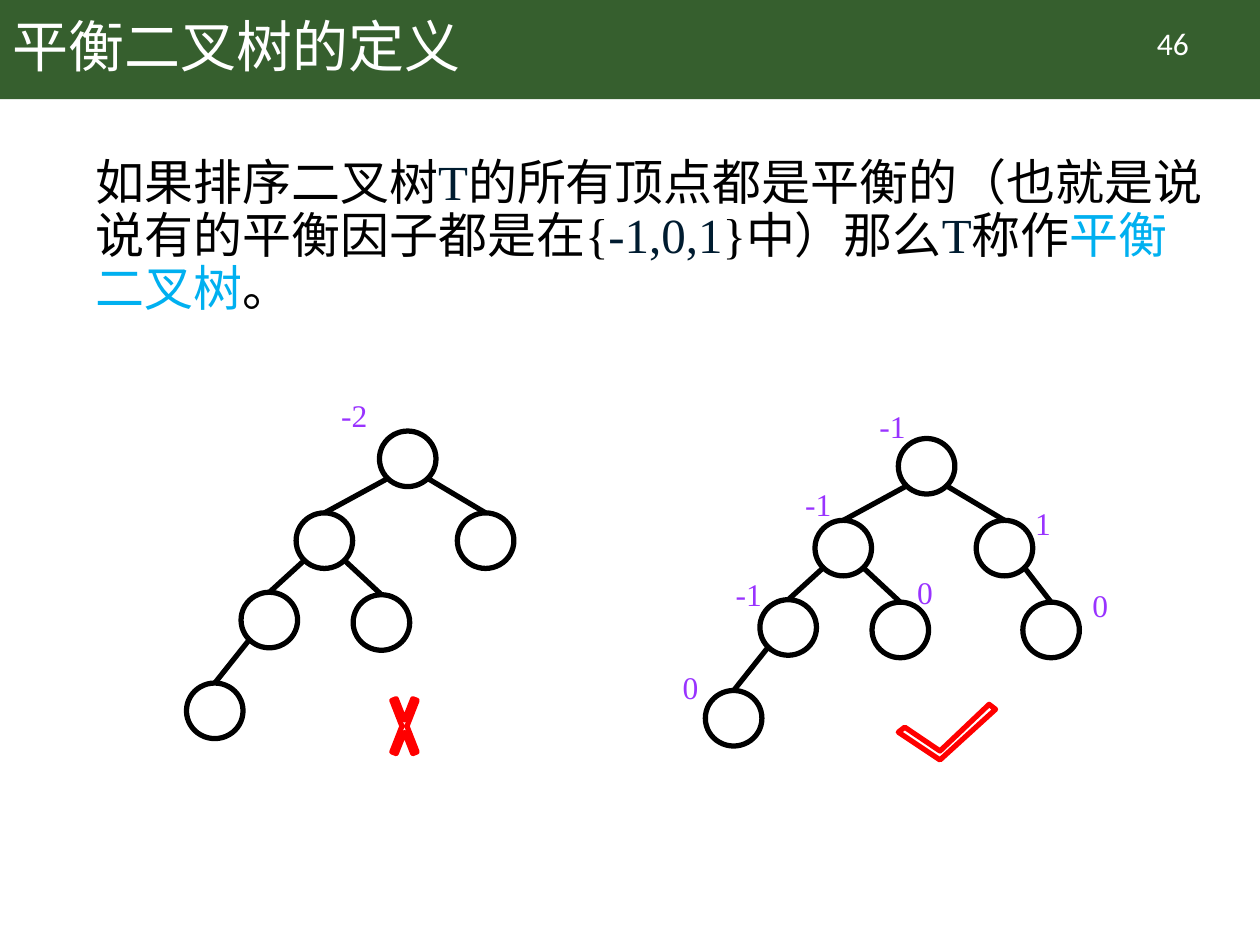
"""Build a slide that defines balanced binary trees with two example trees."""
from math import copysign, sqrt

from lxml import etree
from pptx import Presentation
from pptx.dml.color import RGBColor
from pptx.enum.shapes import MSO_CONNECTOR, MSO_SHAPE
from pptx.enum.text import MSO_ANCHOR, PP_ALIGN
from pptx.oxml.ns import qn
from pptx.util import Cm, Pt

BLACK = RGBColor(0x00, 0x00, 0x00)
WHITE = RGBColor(0xFF, 0xFF, 0xFF)
GREEN = RGBColor(0x36, 0x5F, 0x2E)
NAVY = RGBColor(0x00, 0x1C, 0x30)
CYAN = RGBColor(0x00, 0xB0, 0xF0)
PURPLE = RGBColor(0x99, 0x33, 0xFF)
RED = RGBColor(0xFF, 0x00, 0x00)

RECTANGLE = MSO_SHAPE.RECTANGLE
OVAL = MSO_SHAPE.OVAL
CROSS = MSO_SHAPE.MATH_MULTIPLY
STRAIGHT = MSO_CONNECTOR.STRAIGHT
LEFT, CENTER = PP_ALIGN.LEFT, PP_ALIGN.CENTER
TOP, MIDDLE = MSO_ANCHOR.TOP, MSO_ANCHOR.MIDDLE

SANS, SERIF = "Calibri", "Times New Roman"
NODE_WIDTH, NODE_HEIGHT = 1.14, 1.12
LABEL_SIZE = (1.14, 1.02)

NODES = {
    "root": (0, 0),
    "left": (-1.68, 1.65),
    "right": (1.57, 1.65),
    "left left": (-2.79, 3.25),
    "deepest": (-3.89, 5.08),
    "left right": (-0.53, 3.3),
}
EDGES = [
    ("left left", "deepest"),
    ("left", "left left"),
    ("left", "left right"),
    ("root", "right"),
    ("root", "left"),
]
BALANCED_NODES = {**NODES, "right right": (2.51, 3.3)}
BALANCED_EDGES = EDGES + [("right", "right right")]

DEFINITION = [
    ("如果排序二叉树", BLACK),
    ("T", NAVY),
    ("的所有顶点都是平衡的（也就是说说有的平衡因子都是在{", BLACK),
    ("-1,0,1", NAVY),
    ("}中）那么", BLACK),
    ("T", NAVY),
    ("称作", BLACK),
    ("平衡二叉树", CYAN),
    ("。", BLACK),
]
BALANCE_FACTORS = [
    ("-2", 6.63, 7.85),
    ("0", 13.51, 13.34),
    ("-1", 14.58, 11.46),
    ("0", 18.24, 11.43),
    ("0", 21.77, 11.68),
    ("1", 20.62, 10.03),
    ("-1", 15.98, 9.65),
    ("-1", 17.48, 8.08),
]
TICK = [
    (18.11, 14.76), (18.95, 15.32), (20.07, 14.3),
    (19.94, 14.2), (18.95, 15.14), (18.24, 14.66),
]


def apply_format(target, values):
    """Set each attribute in values on the target."""
    for name, value in values.items():
        setattr(target, name, value)


def style_shape(shape, fill=None, line=None):
    """Give a shape a flat fill and outline; None means no paint."""
    shape.shadow.inherit = False
    if fill is None:
        shape.fill.background()
    else:
        shape.fill.solid()
        shape.fill.fore_color.rgb = fill
    if line is None:
        shape.line.fill.background()
    else:
        shape.line.color.rgb = line
        shape.line.width = Pt(3)


def add_shape(slide, kind, box, **colors):
    """Add a preset shape in a box given in centimetres."""
    shape = slide.shapes.add_shape(kind, *map(Cm, box))
    style_shape(shape, **colors)
    return shape


def add_text(slide, box, runs, size, font, alignment=LEFT, anchor=TOP, spacing=1.0):
    """Add a one-paragraph text box made of coloured runs."""
    frame = slide.shapes.add_textbox(*map(Cm, box)).text_frame
    apply_format(frame, {"word_wrap": True, "vertical_anchor": anchor})
    paragraph = frame.paragraphs[0]
    apply_format(paragraph, {"alignment": alignment, "line_spacing": spacing})
    for text, color in runs:
        run = paragraph.add_run()
        run.text = text
        apply_format(run.font, {"size": Pt(size), "name": font})
        run.font.color.rgb = color


def add_edge(slide, parent, child):
    """Join the lower corner of a parent node to the top of its child."""
    side = copysign(1, child[0] - parent[0])
    start_x = parent[0] + NODE_WIDTH / 2 * (1 + side / sqrt(2))
    start_y = parent[1] + NODE_HEIGHT / 2 * (1 + 1 / sqrt(2))
    ends = (start_x, start_y, child[0] + NODE_WIDTH / 2, child[1])
    connector = slide.shapes.add_connector(STRAIGHT, *map(Cm, ends))
    connector.line.color.rgb = BLACK
    connector.line.width = Pt(3)
    etree.SubElement(connector._element.spPr, qn("a:effectLst"))


def add_tree(slide, left, top, nodes, edges):
    """Draw a tree whose root node has the given top left corner."""
    places = {name: (left + x, top + y) for name, (x, y) in nodes.items()}
    for x, y in places.values():
        add_shape(slide, OVAL, (x, y, NODE_WIDTH, NODE_HEIGHT), line=BLACK)
    for parent, child in edges:
        add_edge(slide, places[parent], places[child])


def add_tick(slide):
    """Draw the tick under the balanced tree."""
    points = [(Cm(x), Cm(y)) for x, y in TICK]
    builder = slide.shapes.build_freeform(*points[0])
    builder.add_line_segments(points[1:], close=True)
    style_shape(builder.convert_to_shape(), fill=WHITE, line=RED)


def main():
    """Build and save the slide."""
    presentation = Presentation()
    apply_format(presentation, {"slide_width": Cm(25.4), "slide_height": Cm(19.05)})
    slide = presentation.slides.add_slide(presentation.slide_layouts[6])

    add_shape(slide, RECTANGLE, (0, 0, 25.4, 2), fill=GREEN)
    add_text(slide, (22.12, 0.36, 3.05, 1.02), [("46", WHITE)], 18, SANS, CENTER)
    add_text(slide, (0, 0, 21.9, 2), [("平衡二叉树的定义", WHITE)], 32, SANS,
             anchor=MIDDLE, spacing=0.9)
    add_text(slide, (1.68, 3.07, 23.01, 4.24), DEFINITION, 28, SERIF, spacing=0.9)

    add_tree(slide, 7.65, 8.69, NODES, EDGES)
    add_tree(slide, 18.11, 8.84, BALANCED_NODES, BALANCED_EDGES)
    for text, left, top in BALANCE_FACTORS:
        add_text(slide, (left, top, *LABEL_SIZE), [(text, PURPLE)], 18, SERIF)

    cross = add_shape(slide, CROSS, (7.75, 13.61, 0.81, 2.06), fill=WHITE, line=RED)
    cross.adjustments[0] = 0.115
    add_tick(slide)
    presentation.save("out.pptx")


if __name__ == "__main__":
    main()
